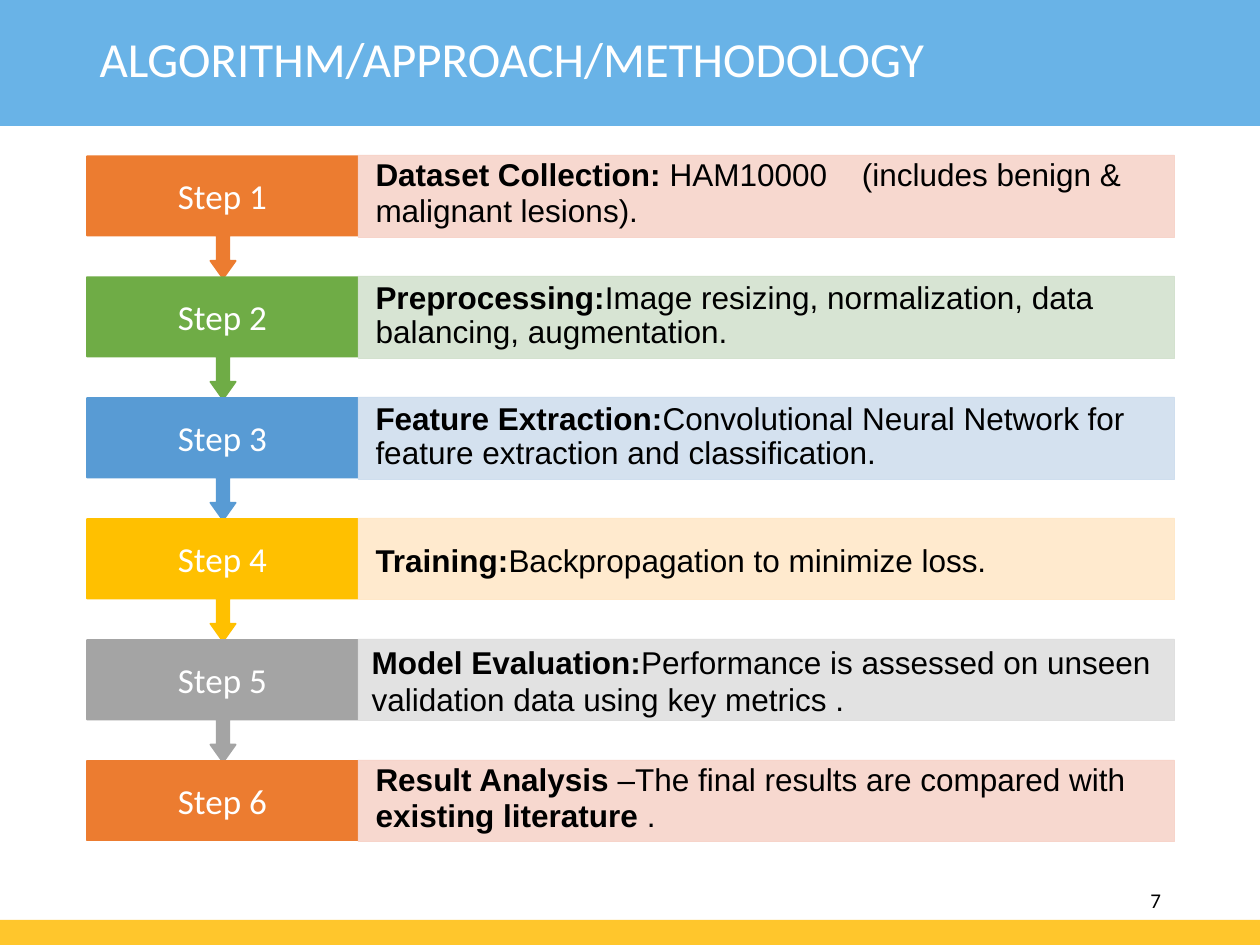
import pptx
import pptx.dml.color
import pptx.enum.shapes
import pptx.enum.text
import pptx.oxml
import pptx.oxml.ns
import pptx.util
from pptx.util import Inches

ANCHOR = pptx.enum.text.MSO_ANCHOR
ALIGN = pptx.enum.text.PP_ALIGN
RECTANGLE = pptx.enum.shapes.MSO_SHAPE.RECTANGLE
A = pptx.oxml.ns.nsdecls("a")


def paint(shape, color, line_width=0, alpha=None):
    """Fill and outline a shape in one colour; alpha is the fill opacity in percent."""
    shape.shadow.inherit = False
    rgb = pptx.dml.color.RGBColor.from_string(color)
    shape.fill.solid()
    shape.fill.fore_color.rgb = rgb
    if alpha:
        fill = shape.element.spPr.find(pptx.oxml.ns.qn("a:solidFill"))
        fill[0].append(pptx.oxml.parse_xml(f'<a:alpha {A} val="{alpha * 1000}"/>'))
    if line_width:
        shape.line.color.rgb = rgb
        shape.line.width = pptx.util.Pt(line_width)
    else:
        shape.line.fill.background()


def write(shape, paragraphs, size, font, color, left=0, top=0, bottom=0,
          anchor=ANCHOR.TOP, align=ALIGN.LEFT, spacing=None, tab=None):
    """Write paragraphs, each a list of (text, bold) runs."""
    frame = shape.text_frame
    frame.word_wrap = True
    frame.auto_size = pptx.enum.text.MSO_AUTO_SIZE.NONE
    frame.vertical_anchor = anchor
    frame.margin_left, frame.margin_right = Inches(left), 0
    frame.margin_top, frame.margin_bottom = Inches(top), Inches(bottom)
    for index, runs in enumerate(paragraphs):
        paragraph = frame.add_paragraph() if index else frame.paragraphs[0]
        paragraph.alignment = align
        if spacing:
            paragraph.line_spacing = pptx.util.Pt(spacing)
        if tab:
            paragraph._p.get_or_add_pPr().append(pptx.oxml.parse_xml(
                f'<a:tabLst {A}><a:tab pos="{Inches(tab)}" algn="l"/></a:tabLst>'))
        for text, bold in runs:
            run = paragraph.add_run()
            run.text = text
            run.font.size = pptx.util.Pt(size)
            run.font.name = font
            run.font.bold = bold
            run.font.color.rgb = pptx.dml.color.RGBColor.from_string(color)


presentation = pptx.Presentation()
presentation.slide_width = Inches(10)
presentation.slide_height = Inches(7.5)
slide = presentation.slides.add_slide(presentation.slide_layouts[5])

# Title and the bands behind it
title = slide.shapes.title
title.left, title.top = Inches(0.7), Inches(0.22)
title.width, title.height = Inches(7.04), Inches(0.67)
write(title, [[("ALGORITHM/APPROACH/METHODOLOGY", False)]], 28, "Calibri", "FFFFFF",
      left=0.09, top=0.01)
for top, height, color in [(0, 1, "69B3E7"), (7.3, 0.2, "FFC62C")]:
    band = slide.shapes.add_shape(RECTANGLE, 0, Inches(top), Inches(10), Inches(height))
    paint(band, color)
    title.element.addprevious(band.element)

# Step colour, description colour, left inset, top inset, line spacing, tab, paragraphs
steps = [
    ("EC7C30", "F7D4CA", 0.14, 0.02, 20.3, 3.86, [
        [("Dataset Collection: ", True), ("HAM10000\t(includes benign &", False)],
        [("malignant lesions).", False)]]),
    ("6FAC46", "D3E1CE", 0.14, 0.05, 19.4, None, [
        [("Preprocessing:", True),
         ("Image resizing, normalization, data balancing, augmentation.", False)]]),
    ("589BD4", "CFDEEE", 0.14, 0.05, 19.4, None, [
        [("Feature Extraction:", True),
         ("Convolutional Neural Network for feature extraction and classification.", False)]]),
    ("FFC000", "FFE8C9", 0.14, 0.18, None, None, [
        [("Training:", True), ("Backpropagation to minimize loss.", False)]]),
    ("A4A4A4", "DFDFDF", 0.11, 0.03, None, None, [
        [("Model Evaluation:", True),
         ("Performance is assessed on unseen validation data using key metrics .", False)]]),
    ("EC7C30", "F7D4CA", 0.14, 0.02, 20.3, None, [
        [("Result Analysis ", True), ("–The final results are compared with", False)],
        [("existing literature ", True), (".", False)]]),
]
step_left, step_right, step_height = 0.69, 2.84, 0.63
first_top, pitch = 1.24, 0.96
arrow_center, arrow_height = 1.77, 0.34
# Right half of the arrow, as (offset from its centre, depth below the step)
arrow_side = [(0.05, 0), (0.05, 0.2), (0.1, 0.2)]
arrow = arrow_side + [(0, arrow_height)] + [(-x, y) for x, y in reversed(arrow_side)]

for index, (color, tint, left, inset, spacing, tab, paragraphs) in enumerate(steps):
    top = first_top + index * pitch
    bottom = top + step_height
    is_last = index == len(steps) - 1
    outline = [(step_right, top), (step_right, bottom)]
    if not is_last:
        outline += [(arrow_center + x, bottom + y) for x, y in arrow]
    outline += [(step_left, bottom)]
    builder = slide.shapes.build_freeform(Inches(step_left), Inches(top))
    builder.add_line_segments([(Inches(x), Inches(y)) for x, y in outline])
    step = builder.convert_to_shape()
    paint(step, color, line_width=1)
    write(step, [[(f"Step {index + 1}", False)]], 20, "Calibri", "FFFFFF",
          bottom=0 if is_last else arrow_height, anchor=ANCHOR.MIDDLE, align=ALIGN.CENTER)

    description = slide.shapes.add_shape(
        RECTANGLE, Inches(step_right), Inches(top - 0.01), Inches(6.48), Inches(0.65))
    paint(description, tint, line_width=0.25, alpha=89)
    write(description, paragraphs, 18, "Arial", "000000",
          left=left, top=inset, spacing=spacing, tab=tab)

page_number = slide.shapes.add_textbox(Inches(9), Inches(7.07), Inches(0.27), Inches(0.2))
write(page_number, [[("7", False)]], 12, "Calibri", "000000", left=0.13, spacing=12.4)

presentation.save("out.pptx")
